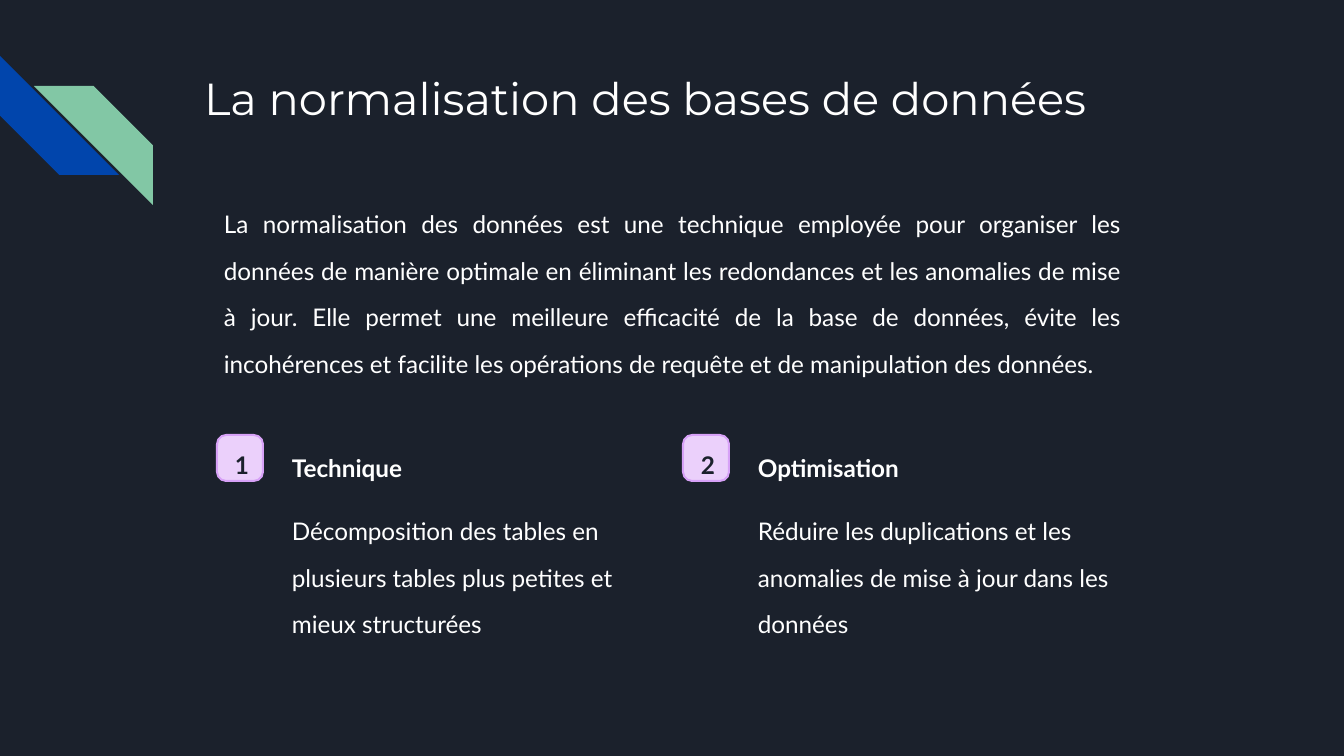
"""Build a slide on database normalisation with two numbered points."""
from pptx import Presentation
from pptx.dml.color import RGBColor
from pptx.enum.shapes import MSO_SHAPE
from pptx.enum.text import MSO_ANCHOR, MSO_AUTO_SIZE, PP_ALIGN
from pptx.oxml.ns import qn
from pptx.util import Pt

TITLE = "La normalisation des bases de données"
INTRO = (
    "La normalisation des données est une technique employée pour organiser les données "
    "de manière optimale en éliminant les redondances et les anomalies de mise à jour. "
    "Elle permet une meilleure efficacité de la base de données, évite les incohérences "
    "et facilite les opérations de requête et de manipulation des données."
)
POINTS = [
    ("Technique", "Décomposition des tables en plusieurs tables plus petites et mieux structurées"),
    ("Optimisation", "Réduire les duplications et les anomalies de mise à jour dans les données"),
]
COLORS = {
    "background": "1B212C",
    "text": "FFFFFF",
    "blue": "0145AC",
    "green": "82C7A5",
    "badge": "EBD0FB",
    "border": "D7A1F7",
}
PX = 914400 / 134.4
POINTS_LEFT, POINTS_STEP = 217, 466


def px(*lengths):
    return [round(n * PX) for n in lengths]


def rgb(name):
    return RGBColor.from_string(COLORS[name])


def add_filled(slide, kind, box, color, adjustment):
    s = slide.shapes.add_shape(kind, *px(*box))
    s.adjustments[0] = adjustment
    s.shadow.inherit = False
    s.fill.solid()
    s.fill.fore_color.rgb = rgb(color)
    s.line.fill.background()
    return s


def write(s, text, size, font, color="text", bold=False, align=PP_ALIGN.LEFT,
          spacing=1.0, insets=(8, 4)):
    tf = s.text_frame
    tf.text = text
    tf.word_wrap = True
    tf.auto_size = MSO_AUTO_SIZE.NONE
    tf.vertical_anchor = MSO_ANCHOR.TOP
    tf.margin_left = tf.margin_right = px(insets[0])[0]
    tf.margin_top = tf.margin_bottom = px(insets[1])[0]
    p = tf.paragraphs[0]
    p.alignment = align
    p.line_spacing = spacing
    r = p.runs[0]
    r.font.name = font
    r.font.size = Pt(size)
    r.font.bold = bold
    r.font.color.rgb = rgb(color)


def add_text(slide, box, text, **style):
    write(slide.shapes.add_textbox(*px(*box)), text, 13, "Lato", **style)


def add_point(slide, number, left, heading, detail):
    badge = add_filled(slide, MSO_SHAPE.ROUNDED_RECTANGLE, (left, 435, 46, 46), "badge", 0.2)
    badge.line.color.rgb = rgb("border")
    badge.line.width = Pt(1.09)
    add_text(slide, (left + 10, 439, 17, 38), str(number), color="background", bold=True,
             align=PP_ALIGN.CENTER, spacing=1.25)
    add_text(slide, (left + 67, 442, 204, 32), heading, bold=True, spacing=1.25)
    add_text(slide, (left + 67, 495, 380, 66), detail, spacing=1.6)


def main():
    prs = Presentation()
    prs.slide_width, prs.slide_height = px(1344, 756)
    slide = prs.slides.add_slide(prs.slide_layouts[5])
    slide.background.fill.solid()
    slide.background.fill.fore_color.rgb = rgb("background")

    blue = add_filled(slide, MSO_SHAPE.DIAGONAL_STRIPE, (0, 56, 119, 119), "blue", 0.5)
    blue.rotation = 270
    green = add_filled(slide, MSO_SHAPE.DIAGONAL_STRIPE, (34, 86, 119, 119), "green", 0.5)
    green._element.spPr.find(qn("a:xfrm")).set("flipH", "1")

    title = slide.shapes.title
    title.left, title.top, title.width, title.height = px(191, 58, 1035, 134)
    write(title, TITLE, 24, "Montserrat", insets=(13, 13))

    add_text(slide, (216, 188, 912, 203), INTRO, align=PP_ALIGN.JUSTIFY, spacing=1.6)
    for i, (heading, detail) in enumerate(POINTS):
        add_point(slide, i + 1, POINTS_LEFT + i * POINTS_STEP, heading, detail)
    prs.save("out.pptx")


if __name__ == "__main__":
    main()
